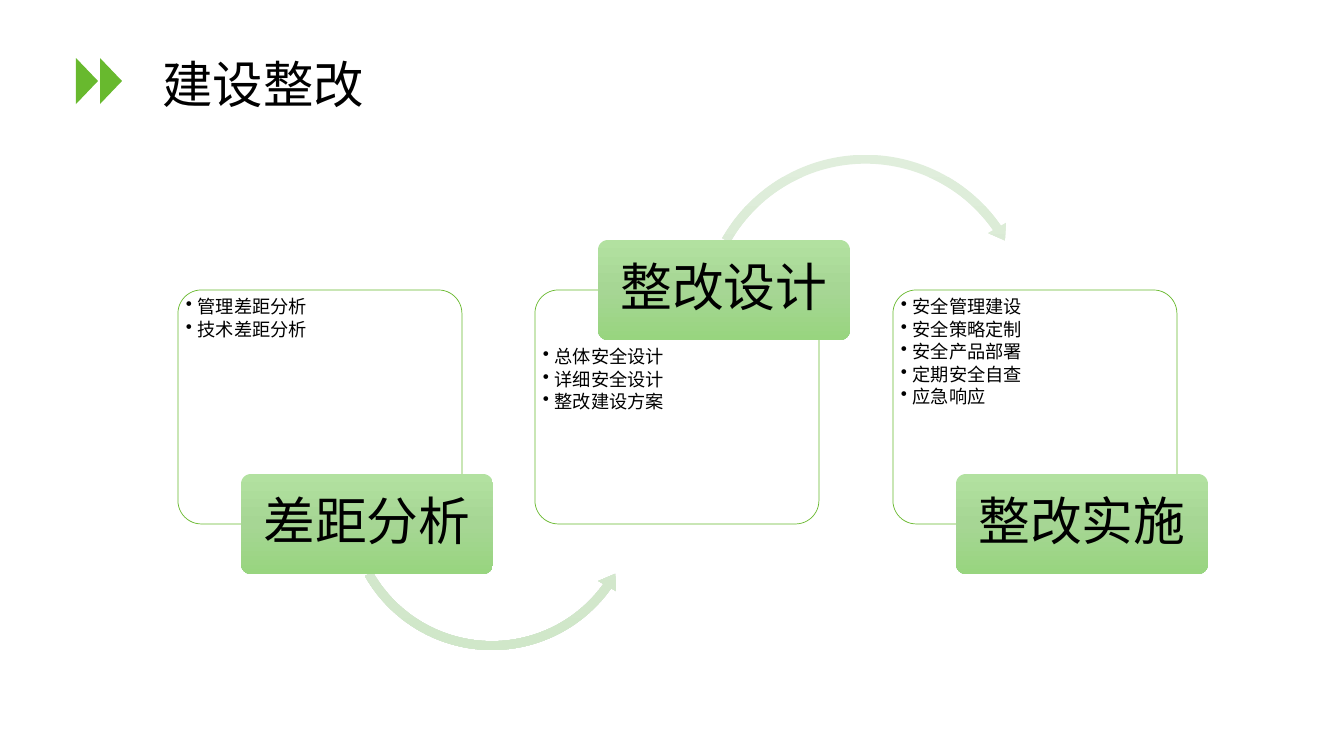
from copy import deepcopy

from lxml.etree import SubElement
from pptx import Presentation
from pptx.dml.color import RGBColor
from pptx.enum.shapes import MSO_SHAPE
from pptx.enum.text import MSO_ANCHOR, PP_ALIGN
from pptx.oxml.ns import qn
from pptx.util import Pt

PX = 914400 / 100.8
GREEN = RGBColor(0x68, 0xB9, 0x2E)
WHITE = RGBColor(0xFF, 0xFF, 0xFF)
BLACK = RGBColor(0x00, 0x00, 0x00)
LABEL_SHADES = [RGBColor(0xB2, 0xE1, 0xA0), RGBColor(0xA6, 0xD6, 0x94), RGBColor(0x98, 0xD5, 0x7F)]
ARROW_SHADES = [RGBColor(0xE0, 0xEE, 0xDC), RGBColor(0xD6, 0xE8, 0xD0), RGBColor(0xD0, 0xE7, 0xC9)]


def write(box, text, size=13, font="Arial", align=PP_ALIGN.LEFT, anchor=MSO_ANCHOR.TOP,
          insets=(10, 5, 10, 5), bullet=False, after=0):
    frame = box.text_frame
    frame.word_wrap = True
    frame.vertical_anchor = anchor
    frame.margin_left, frame.margin_top, frame.margin_right, frame.margin_bottom = [
        round(inset * PX) for inset in insets]
    for index, line in enumerate(text.split("\n")):
        para = frame.add_paragraph() if index else frame.paragraphs[0]
        para.alignment = align
        para.line_spacing = 0.9
        para.space_after = Pt(after)
        if bullet:
            para.level = 1
            properties = para._p.get_or_add_pPr()
            properties.set("marL", str(round(12 * PX)))
            properties.set("indent", str(round(-12 * PX)))
            SubElement(properties, qn("a:buChar"), char="•")
        span = para.add_run()
        span.text = line
        span.font.size = Pt(size)
        span.font.name = font
        span.font.color.rgb = BLACK


def add_shape(kind, left, top, width, height, shades, adjustments=()):
    shape = page.shapes.add_shape(kind, *[round(n * PX) for n in (left, top, width, height)])
    shape.shadow.inherit = False
    shape.line.fill.background()
    for index, value in enumerate(adjustments):
        shape.adjustments[index] = value
    if len(shades) == 1:
        shape.fill.solid()
        shape.fill.fore_color.rgb = shades[0]
    else:
        shape.fill.gradient()
        shape.fill.gradient_angle = 270
        first = shape._element.spPr.find(".//" + qn("a:gs"))
        first.addnext(deepcopy(first))
        for index, (stop, shade) in enumerate(zip(shape.fill.gradient_stops, shades)):
            stop.position = index / 2
            stop.color.rgb = shade
    return shape


deck = Presentation()
deck.slide_width = round(1344 * PX)
deck.slide_height = round(756 * PX)
page = deck.slides.add_slide(deck.slide_layouts[5])

title = page.shapes.title
title.left, title.top, title.width, title.height = [round(n * PX) for n in (141, 40, 1110, 94)]
write(title, " 建设整改", size=36, font="Montserrat", anchor=MSO_ANCHOR.MIDDLE)

for left in (64, 88):
    chevron = add_shape(MSO_SHAPE.ISOSCELES_TRIANGLE, left, 70, 46, 22, [GREEN])
    chevron.rotation = 90

PANEL_TOP, PANEL_WIDTH, PANEL_HEIGHT = 290, 284, 234
LABEL_WIDTH, LABEL_HEIGHT = 252, 100
steps = [
    ("差距分析", "管理差距分析\n技术差距分析", False,
     (MSO_SHAPE.LEFT_CIRCULAR_ARROW, 340, 352, 304, (0.029, 3.518, 21.273, 90.245, 0.034))),
    ("整改设计", "总体安全设计\n详细安全设计\n整改建设方案", True,
     (MSO_SHAPE.CIRCULAR_ARROW, 695, 149, 341, (0.026, 3.121, 195.124, 125.755, 0.03))),
    ("整改实施", "安全管理建设\n安全策略定制\n安全产品部署\n定期安全自查\n应急响应", False, None),
]

for index, (name, tasks, label_on_top, arrow) in enumerate(steps):
    left = 178 + 715 * index // 2
    panel = add_shape(MSO_SHAPE.ROUNDED_RECTANGLE, left, PANEL_TOP, PANEL_WIDTH, PANEL_HEIGHT,
                      [WHITE], [0.1])
    SubElement(panel._element.spPr.find(".//" + qn("a:srgbClr")), qn("a:alpha"), val="90000")
    panel.line.color.rgb = GREEN
    panel.line.width = Pt(0.5)
    write(panel, tasks, insets=(1, 51 if label_on_top else 1, 1, 1), bullet=True, after=2)

    if arrow:
        kind, arrow_left, arrow_top, arrow_size, adjustments = arrow
        add_shape(kind, arrow_left, arrow_top, arrow_size, arrow_size, ARROW_SHADES, adjustments)

    edge = PANEL_TOP if label_on_top else PANEL_TOP + PANEL_HEIGHT
    label = add_shape(MSO_SHAPE.ROUNDED_RECTANGLE, left + 63, edge - LABEL_HEIGHT // 2,
                      LABEL_WIDTH, LABEL_HEIGHT, LABEL_SHADES, [0.1])
    write(label, name, size=37, align=PP_ALIGN.CENTER, anchor=MSO_ANCHOR.MIDDLE,
          insets=(8, 5, 8, 5))

deck.save("out.pptx")
